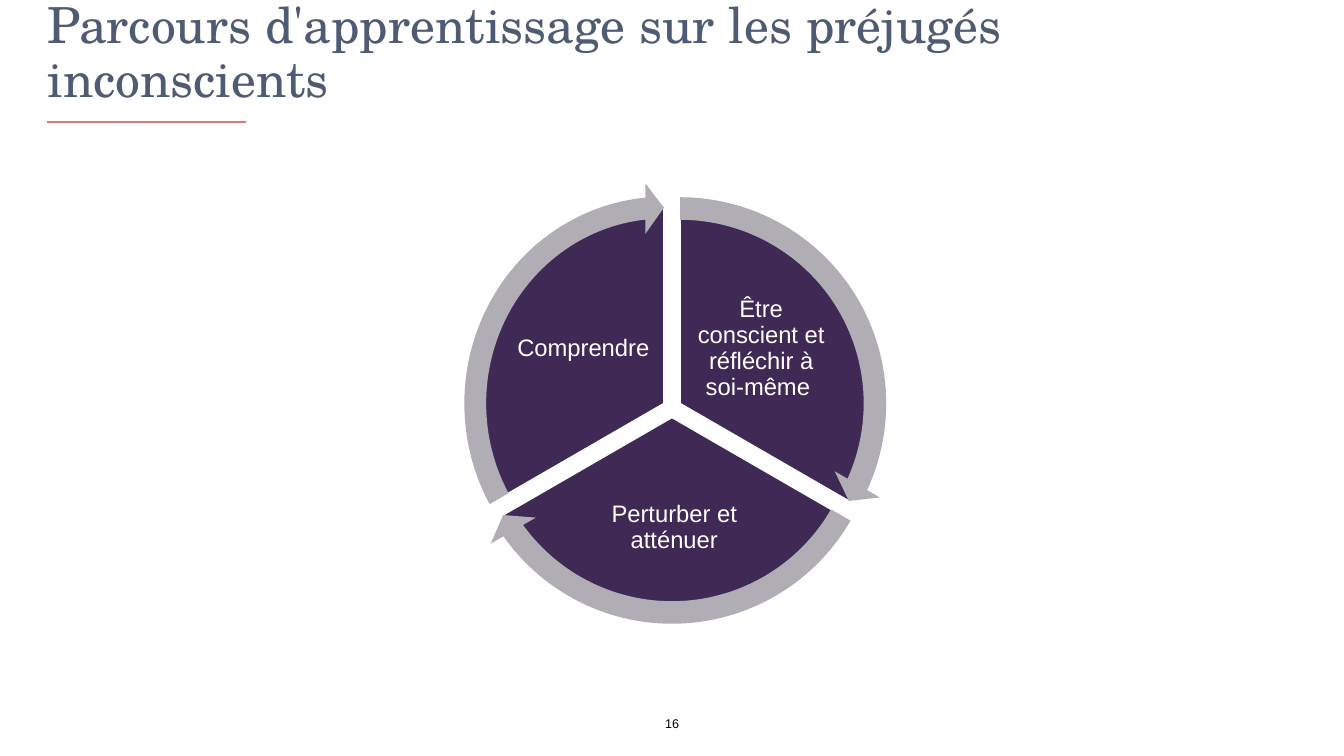
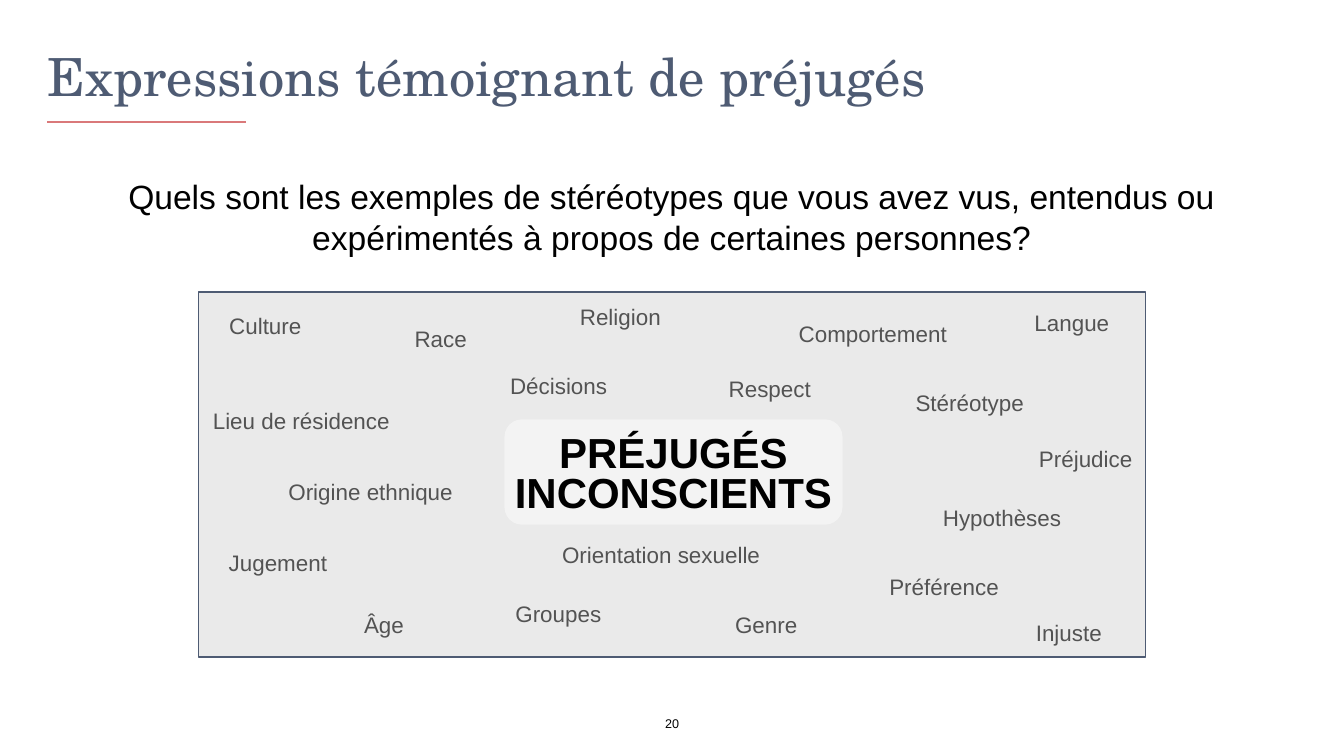
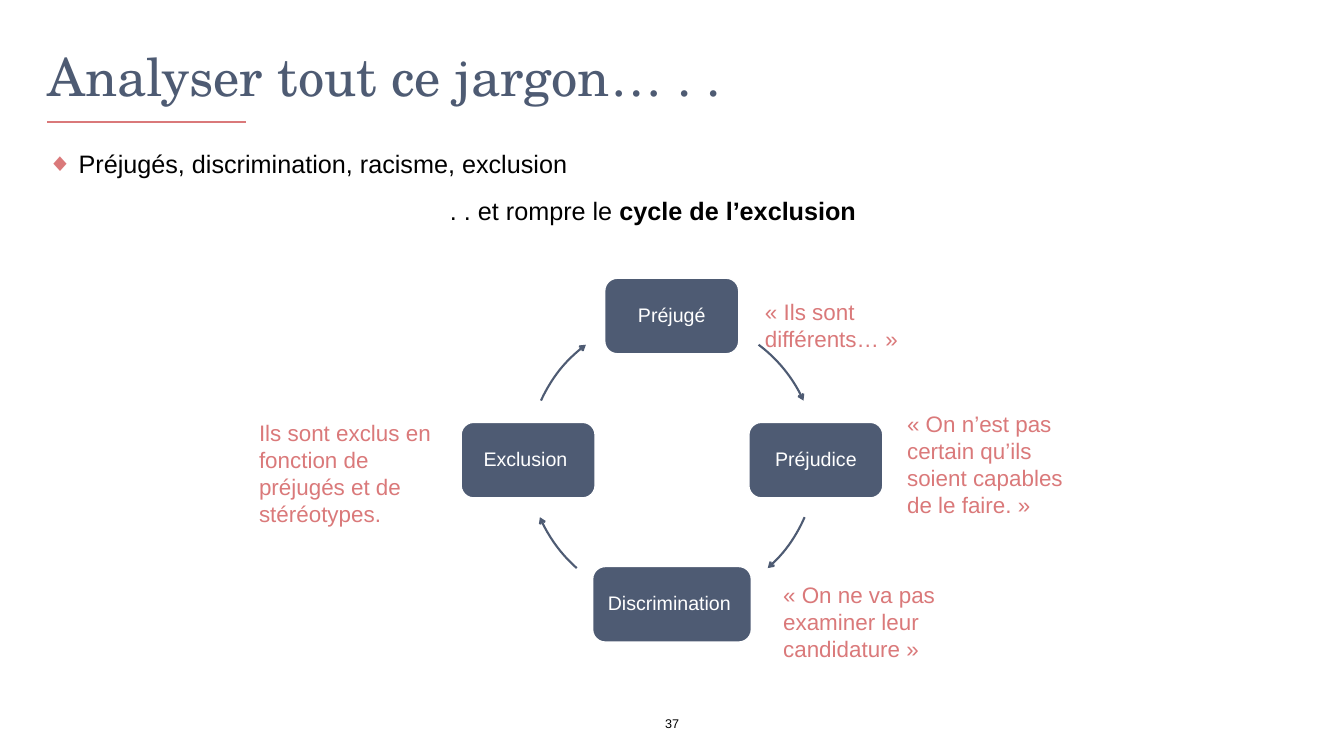
from pptx import Presentation
from pptx import util as u
from pptx.dml.color import RGBColor
from pptx.enum import shapes, text
from pptx.oxml import ns
from lxml import etree

SLATE = RGBColor(0x4E, 0x5B, 0x73)
CORAL = RGBColor(0xDA, 0x79, 0x7A)
PURPLE = RGBColor(0x3F, 0x2A, 0x56)
SILVER = RGBColor(0xB0, 0xAD, 0xB4)
PALE = RGBColor(0xEA, 0xEA, 0xEA)
GREY = RGBColor(0x53, 0x53, 0x53)
WHITE = RGBColor(0xFF, 0xFF, 0xFF)
BLACK = RGBColor(0, 0, 0)

SERIF = "TeX Gyre Schola"
SANS = "Arial"
SHAPE = shapes.MSO_SHAPE
TOP, MIDDLE, BOTTOM = (text.MSO_ANCHOR.TOP, text.MSO_ANCHOR.MIDDLE,
                       text.MSO_ANCHOR.BOTTOM)
CENTER = text.PP_ALIGN.CENTER
DEGREE = 0.6  # one degree as an adjustment value


def place(page, kind, at, fill=None, line=None, width=2, adjust=()):
    """Add a preset shape, or a text box when kind is None."""
    lengths = [u.Inches(value) for value in at]
    if kind is None:
        return page.shapes.add_textbox(*lengths)
    shape = page.shapes.add_shape(kind, *lengths)
    shape.shadow.inherit = False
    for index, value in enumerate(adjust):
        shape.adjustments[index] = value
    if fill is None:
        shape.fill.background()
    else:
        shape.fill.solid()
        shape.fill.fore_color.rgb = fill
    if line is None:
        shape.line.fill.background()
    else:
        shape.line.color.rgb = line
        shape.line.width = u.Pt(width)
    return shape


def write(box, words, size=32, color=BLACK, font=SANS, bold=False, align=None,
          anchor=TOP, inset=0, spacing=None, before=None, wrap=True, grow=False):
    """Add a paragraph to a box; words is a string or (string, bold) pairs."""
    frame = box.text_frame
    frame.word_wrap = wrap
    frame.vertical_anchor = anchor
    frame.auto_size = (text.MSO_AUTO_SIZE.SHAPE_TO_FIT_TEXT if grow
                       else text.MSO_AUTO_SIZE.NONE)
    if inset is not None:
        frame.margin_left = frame.margin_right = u.Inches(inset)
        frame.margin_top = frame.margin_bottom = u.Inches(inset)
    para = frame.paragraphs[0]
    if para.runs:
        para = frame.add_paragraph()
    para.alignment = align
    para.line_spacing = spacing
    if before:
        para.space_before = u.Pt(before)
    for part, heavy in [(words, bold)] if isinstance(words, str) else words:
        span = para.add_run()
        span.text = part
        span.font.name = font
        span.font.size = u.Pt(size)
        span.font.bold = heavy
        span.font.color.rgb = color
    return para


deck = Presentation()
deck.slide_width, deck.slide_height = u.Inches(26.67), u.Inches(15)

# Shared frame: title, accent rule and page number
pages = []
for title, size, number in [
    ("Parcours d'apprentissage sur les préjugés inconscients", 71, "16"),
    ("Expressions témoignant de préjugés", 75, "20"),
    ("Analyser tout ce jargon… . .", 75, "37"),
]:
    page = deck.slides.add_slide(deck.slide_layouts[6])
    write(place(page, None, (0.94, 0.42, 24.8, 1.73)), title, size=size,
          color=SLATE, font=SERIF, anchor=BOTTOM, spacing=0.9)
    rule = page.shapes.add_connector(
        shapes.MSO_CONNECTOR.STRAIGHT,
        u.Inches(0.94), u.Inches(2.42), u.Inches(4.88), u.Inches(2.42))
    rule.line.color.rgb = CORAL
    rule.line.width = u.Pt(3)
    etree.SubElement(rule._element.spPr, ns.qn("a:effectLst"))
    write(place(page, None, (12.89, 14.15, 0.89, 0.42)), number, size=18,
          align=CENTER, anchor=MIDDLE)
    pages.append(page)
journey, expressions, jargon = pages

# Learning journey: three sectors and their labels
for left, top, start, end, label, label_at in [
    (9.59, 4.1, 270, 30, "Être conscient et réfléchir à soi-même ",
     (13.71, 5.76, 2.79, 2.32)),
    (9.43, 4.38, 30, 150, "Perturber et atténuer", (11.29, 9.45, 4.18, 2.04)),
    (9.27, 4.1, 150, 270, "Comprendre ", (10.18, 5.76, 2.79, 2.32)),
]:
    place(journey, SHAPE.PIE, (left, top, 7.81, 7.81), PURPLE, WHITE,
          adjust=(start * DEGREE, end * DEGREE))
    write(place(journey, None, label_at), label, size=34, color=WHITE,
          align=CENTER, anchor=MIDDLE, inset=0.05, spacing=0.9)

# Learning journey: arrows around the sectors
for left, top, width, end, start in [
    (9.11, 3.62, 8.77, 24.54, 270),
    (8.95, 3.9, 8.77, 144.53, 30),
    (8.93, 3.62, 8.49, 264.55, 150),
]:
    place(journey, SHAPE.CIRCULAR_ARROW, (left, top, width, 8.77), SILVER,
          adjust=(0.051, 3.275, end * DEGREE, start * DEGREE, 0.059))

# Expressions: question and panel
write(place(expressions, None, (0.93, 3.5, 24.8, 2.18)),
      "Quels sont les exemples de stéréotypes que vous avez vus, entendus ou "
      "expérimentés à propos de certaines personnes?", size=48, align=CENTER)
place(expressions, SHAPE.RECTANGLE, (3.94, 5.79, 18.79, 7.25), PALE, SLATE, 2.25)

# Expressions: translucent centre plate
plate = place(expressions, SHAPE.ROUNDED_RECTANGLE, (10.01, 8.32, 6.71, 2.09), WHITE)
tint = plate._element.spPr.find(ns.qn("a:solidFill"))[0]
etree.SubElement(tint, ns.qn("a:alpha"), val="43000")
write(plate, "PRÉJUGÉS INCONSCIENTS", size=60, bold=True, align=CENTER,
      anchor=BOTTOM, inset=None, spacing=0.8)

# Expressions: scattered words
for word, left, top, width in [
    ("Race", 8.12, 6.41, 1.25),
    ("Décisions", 10.01, 7.33, 2.15),
    ("Respect", 14.35, 7.39, 1.85),
    ("Comportement", 15.74, 6.31, 3.16),
    ("Stéréotype", 18.06, 7.68, 2.37),
    ("Hypothèses", 18.6, 9.95, 2.57),
    ("Préférence", 17.54, 11.33, 2.39),
    ("Genre", 14.48, 12.08, 1.45),
    ("Orientation sexuelle", 11.04, 10.69, 4.16),
    ("Origine ethnique", 5.61, 9.44, 3.49),
    ("Culture", 4.44, 6.14, 1.65),
    ("Lieu de résidence", 4.11, 8.02, 3.74),
    ("Religion", 11.4, 5.97, 1.82),
    ("Langue", 20.42, 6.09, 1.7),
    ("Âge", 7.12, 12.08, 1),
    ("Groupes", 10.12, 11.86, 1.92),
    ("Préjudice", 20.51, 8.79, 2.07),
    ("Injuste", 20.45, 12.24, 1.52),
    ("Jugement", 4.43, 10.84, 2.17),
]:
    write(place(expressions, None, (left, top, width, 0.64)), word, color=GREY,
          align=CENTER, inset=None, wrap=False, grow=True)

# Jargon: introduction with a diamond bullet, then an indented line
intro = place(jargon, None, (0.93, 2.95, 24.8, 2.09))
para = write(intro, "Préjugés, discrimination, racisme, exclusion", size=36)
props = para._p.get_or_add_pPr()
props.set("marL", str(u.Inches(0.63)))
props.set("indent", str(u.Inches(-0.62)))
bullet_color = etree.SubElement(props, ns.qn("a:buClr"))
etree.SubElement(bullet_color, ns.qn("a:srgbClr"), val=str(CORAL))
etree.SubElement(props, ns.qn("a:buFont"), typeface=SANS)
etree.SubElement(props, ns.qn("a:buChar"), char="◆")
para = write(intro, [(". . et rompre le ", False), ("cycle de l’exclusion", True)],
             size=36, before=23)
para._p.get_or_add_pPr().set("marL", str(u.Inches(8)))

# Jargon: cycle steps, each followed by an arc to the next
for step, left, top, width, start, end in [
    ("Préjugé", 12, 5.52, 2.66, 306.8, 335.6),
    ("Préjudice", 14.86, 8.38, 2.66, 23.3, 48.5),
    ("Discrimination ", 11.76, 11.24, 3.15, 131.5, 156.7),
    ("Exclusion ", 9.15, 8.38, 2.66, 204.4, 233.2),
]:
    node = place(jargon, SHAPE.ROUNDED_RECTANGLE, (left, top, width, 1.5), SLATE, WHITE)
    write(node, step, size=28, color=WHITE, align=CENTER, anchor=MIDDLE,
          inset=0.12, spacing=0.9)
    arc = place(jargon, SHAPE.ARC, (10.48, 6.27, 5.72, 5.72), line=SLATE, width=3,
                adjust=(start * DEGREE, end * DEGREE))
    etree.SubElement(arc.line._get_or_add_ln(), ns.qn("a:tailEnd"), type="arrow")

# Jargon: remarks beside the steps
for remark, at in [
    ("« Ils sont différents… »", (15.18, 5.91, 3.9, 1.08)),
    ("« On n’est pas certain qu’ils soient capables de le faire. »",
     (18, 8.14, 3.45, 2.15)),
    ("« On ne va pas examiner leur candidature »", (15.54, 11.53, 3.21, 1.62)),
    ("Ils sont exclus en fonction de préjugés et de stéréotypes.",
     (5.14, 8.32, 3.75, 2.15)),
]:
    write(place(jargon, None, at), remark, color=CORAL, grow=True)

deck.save("out.pptx")
